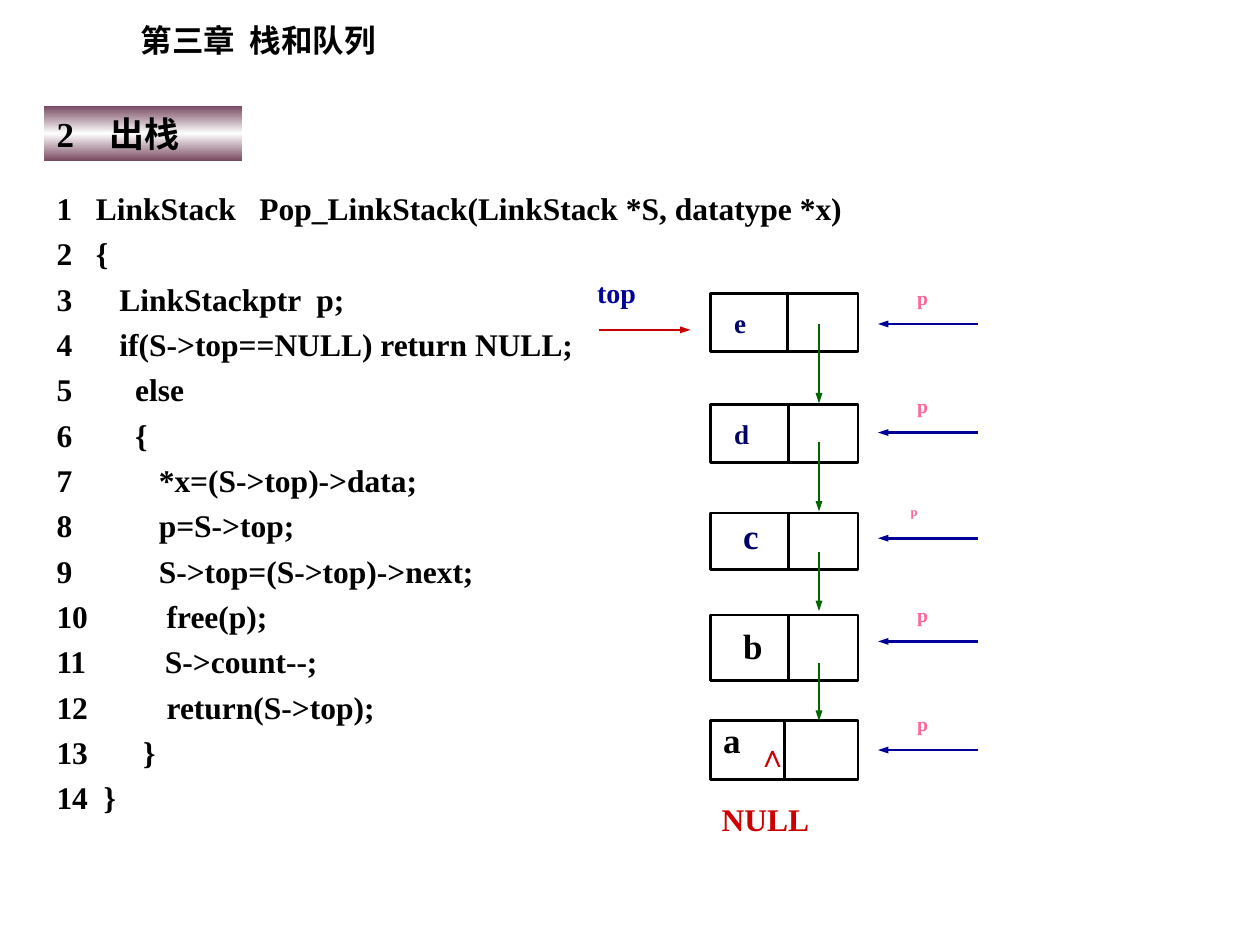
"""Build the slide on popping a linked stack: code listing and node diagram."""
from copy import deepcopy

from lxml.etree import SubElement
from pptx import Presentation
from pptx.dml.color import RGBColor
from pptx.enum.shapes import MSO_CONNECTOR, MSO_SHAPE
from pptx.enum.text import MSO_ANCHOR, MSO_AUTO_SIZE, PP_ALIGN
from pptx.oxml.ns import qn
from pptx.util import Cm, Pt

BLACK = RGBColor(0x00, 0x00, 0x00)
WHITE = RGBColor(0xFF, 0xFF, 0xFF)
PLUM = RGBColor(0x76, 0x47, 0x5E)
NAVY = RGBColor(0x00, 0x00, 0x68)
BLUE = RGBColor(0x00, 0x00, 0x99)
GREEN = RGBColor(0x00, 0x66, 0x00)
RED = RGBColor(0xCC, 0x00, 0x00)
PINK = RGBColor(0xFF, 0x66, 0x99)
FONT = "Times New Roman"

CHAPTER = "第三章\t栈和队列"
HEADING = "2\t出栈"
CODE = """\
1   LinkStack   Pop_LinkStack(LinkStack *S, datatype *x)
2   {
3      LinkStackptr  p;
4      if(S->top==NULL) return NULL;
5        else
6        {
7           *x=(S->top)->data;
8           p=S->top;
9           S->top=(S->top)->next;
10          free(p);
11          S->count--;
12          return(S->top);
13       }
14  }"""

NODE_LEFT, NODE_WIDTH, NEXT_X = 14.33, 2.97, 16.51
POINTER_START, POINTER_END = 19.71, 17.7
CENTRED = dict(size=15.5, color=NAVY, anchor=MSO_ANCHOR.MIDDLE)
NODES = [
    dict(top=5.92, height=1.17, divider=15.88, label="e", place=(14.55, 6.02, 0.79, 0.97),
         style=CENTRED, next_link=(6.53, 8.13), pointer=6.53),
    dict(top=8.15, height=1.17, divider=15.9, label="d", place=(14.55, 8.26, 0.79, 0.97),
         style=CENTRED, next_link=(8.92, 10.31), pointer=8.72),
    dict(top=10.34, height=1.14, divider=15.9, label="c", place=(14.73, 10.34, 0.79, 1.02),
         style=dict(size=20, color=NAVY, spacing=0.9), next_link=(11.13, 12.32),
         pointer=10.85, pointer_left=18.36, pointer_size=7.2),
    dict(top=12.4, height=1.32, divider=15.9, label="b", place=(14.73, 12.62, 0.99, 0.94),
         style=dict(size=20, spacing=0.8), next_link=(13.36, 14.53), pointer=12.93),
    dict(top=14.53, height=1.19, divider=15.82, label="a", place=(14.33, 14.73, 0.99, 0.69),
         style=dict(size=20, spacing=0.5), pointer=15.12),
]


def write(text, place, box=None, size=18, color=BLACK, spacing=1, anchor=MSO_ANCHOR.TOP,
          align=PP_ALIGN.LEFT, inset=(0.25, 0.13), tab=None):
    """Put formatted text at a place, in a new box unless one is given."""
    box = box or slide.shapes.add_textbox(0, 0, 0, 0)
    box.left, box.top, box.width, box.height = map(Cm, place)
    frame = box.text_frame
    frame.text = text
    frame.word_wrap = True
    frame.auto_size = MSO_AUTO_SIZE.NONE
    frame.vertical_anchor = anchor
    frame.margin_left = frame.margin_right = Cm(inset[0])
    frame.margin_top = frame.margin_bottom = Cm(inset[1])
    for line in frame.paragraphs:
        line.alignment = align
        line.line_spacing = spacing
        line.space_before = Pt(0)
        if tab:
            tabs = SubElement(line._p.get_or_add_pPr(), qn("a:tabLst"))
            SubElement(tabs, qn("a:tab"), pos=str(Cm(tab)), algn="l")
        for run in line.runs:
            run.font.name = FONT
            run.font.size = Pt(size)
            run.font.bold = True
            run.font.color.rgb = color
    return box


def draw_line(x1, y1, x2, y2, color=BLACK, arrow=True):
    """Draw a straight line, with an arrowhead at its end by default."""
    line = slide.shapes.add_connector(MSO_CONNECTOR.STRAIGHT, *map(Cm, (x1, y1, x2, y2)))
    line.line.color.rgb = color
    line.line.width = Pt(1.5)
    if arrow:
        SubElement(line.line._get_or_add_ln(), qn("a:tailEnd"), type="triangle", w="sm", len="med")
    SubElement(line._element.spPr, qn("a:effectLst"))


def draw_node(node):
    """Draw the two cells of a node and the label of its data."""
    top, height = node["top"], node["height"]
    cells = slide.shapes.add_shape(
        MSO_SHAPE.RECTANGLE, *map(Cm, (NODE_LEFT, top, NODE_WIDTH, height)))
    cells.shadow.inherit = False
    cells.fill.solid()
    cells.fill.fore_color.rgb = WHITE
    cells.line.color.rgb = BLACK
    cells.line.width = Pt(1.5)
    draw_line(node["divider"], top, node["divider"], top + height, arrow=False)
    write(node["label"], node["place"], **node["style"])


def draw_pointer(node):
    """Draw the arrow of p beside a node."""
    y = node["pointer"]
    draw_line(POINTER_START, y, POINTER_END, y, BLUE)
    write("p", (node.get("pointer_left", 18.49), y - 0.8, 0.61, 0.53), color=PINK,
          size=node.get("pointer_size", 11.2), anchor=MSO_ANCHOR.MIDDLE, inset=(0, 0))


def fill_heading(heading):
    """Shade the heading from plum through white back to plum."""
    heading.fill.gradient()
    heading.fill.gradient_angle = 90
    first, last = heading.fill.gradient_stops
    first.color.rgb = last.color.rgb = PLUM
    first.position, last.position = 0, 1
    first._gs.addnext(deepcopy(first._gs))
    middle = heading.fill.gradient_stops[1]
    middle.color.rgb = WHITE
    middle.position = 0.5


deck = Presentation()
deck.slide_width, deck.slide_height = Cm(25.4), Cm(19.05)
slide = deck.slides.add_slide(deck.slide_layouts[5])

write(CHAPTER, (2.59, 0.3, 6.86, 1.02), tab=2.2)
fill_heading(write(HEADING, (0.89, 2.13, 3.99, 1.12), box=slide.shapes.title, size=20, tab=1.07))
write(CODE, (0.89, 3.53, 17.81, 14), spacing=1.2)

write("top", (12.04, 5.72, 1.57, 0.58), size=16, color=BLUE, spacing=0.5,
      anchor=MSO_ANCHOR.MIDDLE, align=PP_ALIGN.JUSTIFY, inset=(0, 0))
draw_line(12.07, 6.65, 13.92, 6.65, RED)
for node in NODES:
    draw_node(node)
    draw_pointer(node)
for node in NODES[:-1]:
    start, end = node["next_link"]
    draw_line(NEXT_X, start, NEXT_X, end, GREEN)
write("∧", (15.01, 14.33, 2.92, 1.4), color=RED, spacing=1.5)
write("NULL", (14.3, 16.33, 2.59, 0.64), color=RED, spacing=0.5)

deck.save("out.pptx")
